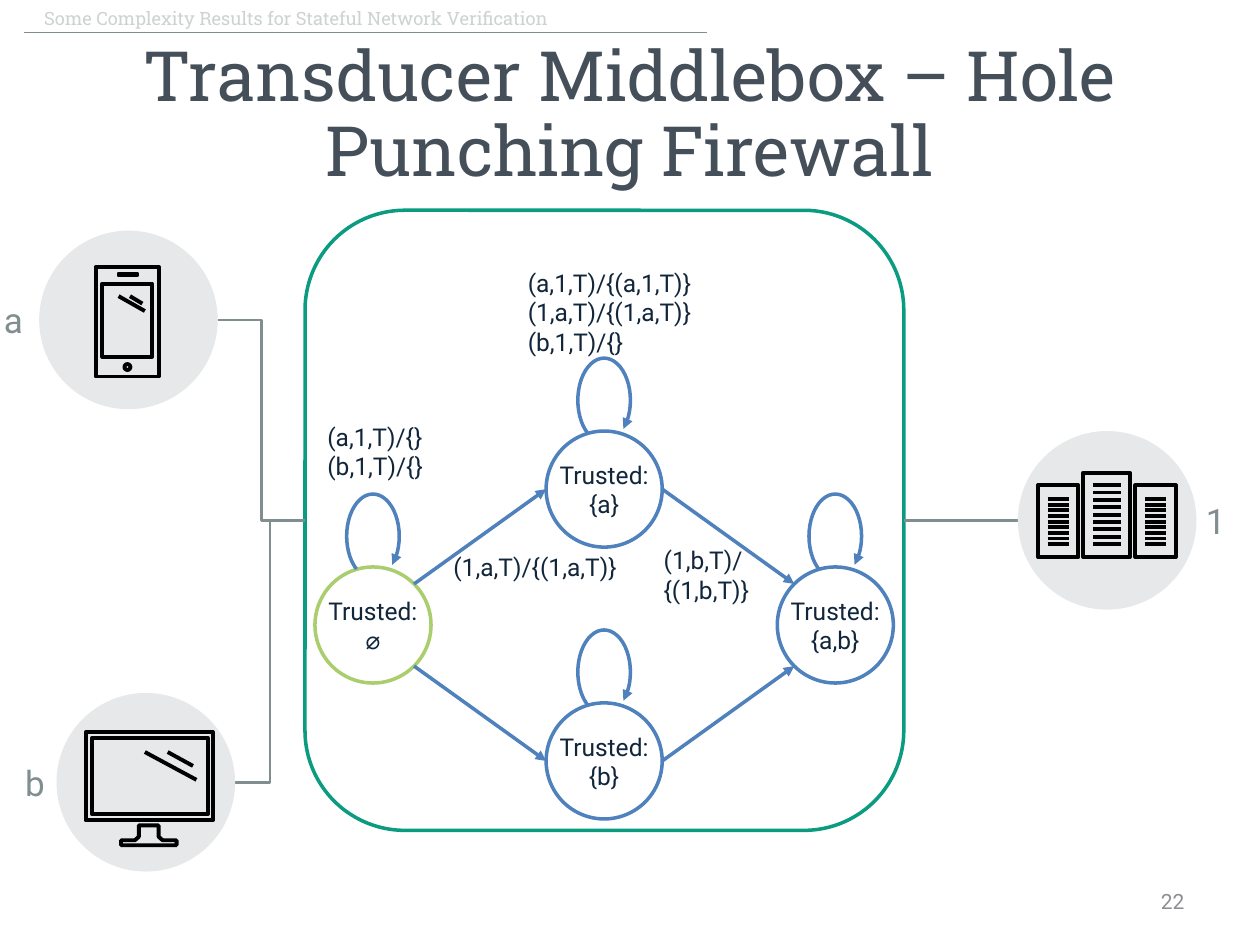
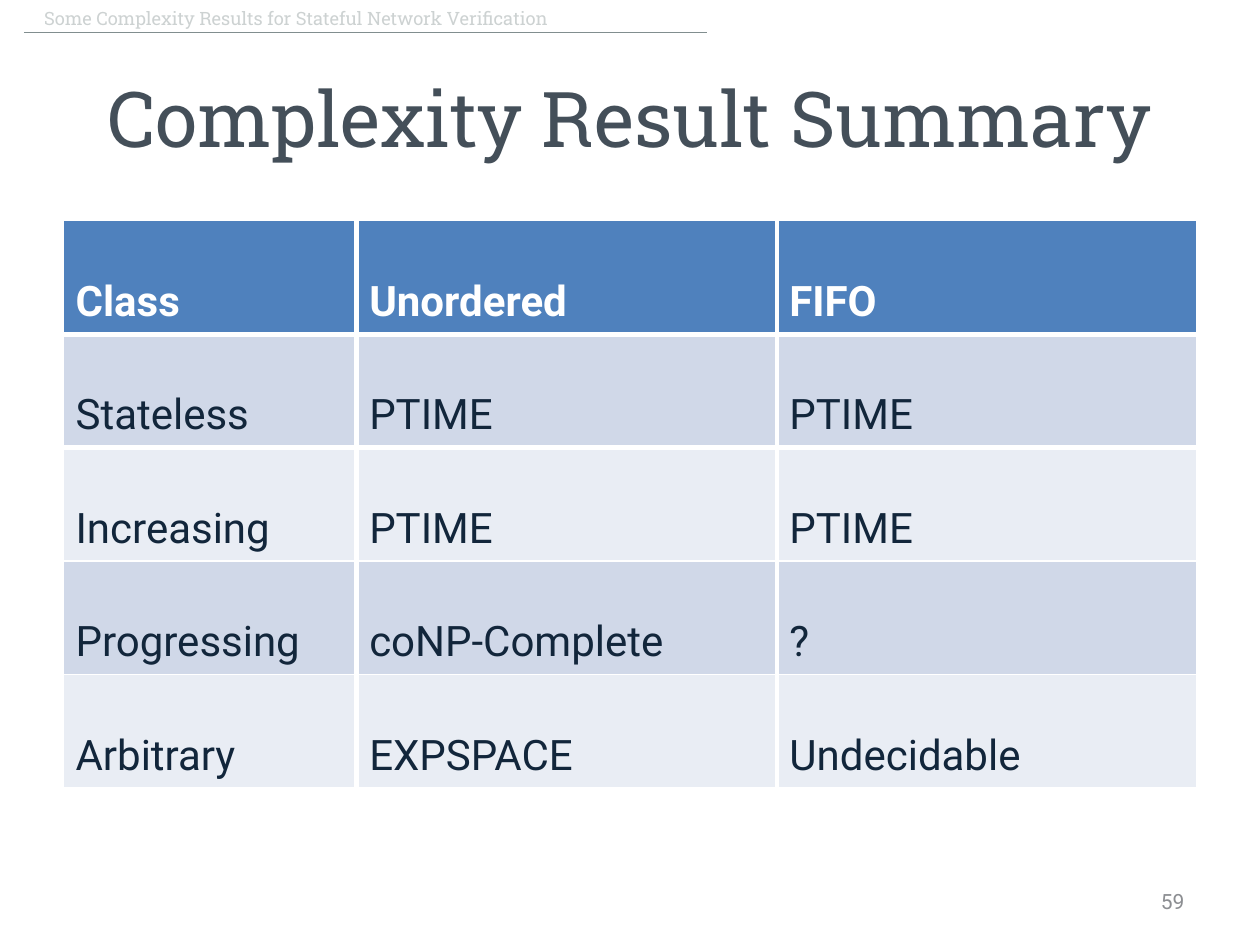
import math

import pptx
import pptx.dml.color
import pptx.enum.shapes
import pptx.enum.text
import pptx.oxml
import pptx.oxml.ns
import pptx.util

Cm, Pt = pptx.util.Cm, pptx.util.Pt
MSO_SHAPE = pptx.enum.shapes.MSO_SHAPE
STRAIGHT = pptx.enum.shapes.MSO_CONNECTOR.STRAIGHT
ELBOW = pptx.enum.shapes.MSO_CONNECTOR.ELBOW
MIDDLE = pptx.enum.text.MSO_ANCHOR.MIDDLE
ALIGN = pptx.enum.text.PP_ALIGN

# ---- Content (lengths in cm) ----
HEADER = "Some Complexity Results for Stateful Network Veriﬁcation"
AUTOMATON = {"title": "Transducer Middlebox – Hole Punching Firewall", "size": 39.6,
             "spacing": 0.9, "number": "22"}
SUMMARY = {"title": "Complexity Result Summary", "size": 44, "spacing": 1.0, "number": "59"}

# Host name: disc left, disc top, label left
HOSTS = {"a": (0.79, 4.65, 0), "b": (1.14, 13.97, 0.43), "1": (20.52, 8.69, 24.23)}
# State: set of trusted hosts, column and row from the diagram centre, outline
STATES = [("⌀", -1, 0, "green"), ("{a}", 0, -1, "blue"),
          ("{a,b}", 1, 0, "blue"), ("{b}", 0, 1, "blue")]
# Transition labels: left, top, width, lines
TRANSITIONS = [
    (10.39, 5.28, 4.01, ["(a,1,T)/{(a,1,T)}", "(1,a,T)/{(1,a,T)}", "(b,1,T)/{}"]),
    (6.35, 8.38, 2.54, ["(a,1,T)/{}", "(b,1,T)/{}"]),
    (8.89, 11, 4.24, ["(1,a,T)/{(1,a,T)}"]),
    (13.13, 10.87, 4.24, ["(1,b,T)/", "{(1,b,T)}"]),
]
RESULTS = [
    ["Class", "Unordered", "FIFO"],
    ["Stateless", "PTIME", "PTIME"],
    ["Increasing", "PTIME", "PTIME"],
    ["Progressing", "coNP-Complete", "?"],
    ["Arbitrary", "EXPSPACE", "Undecidable"],
]
COLUMN_WIDTHS = [5.92, 8.47, 8.47]

# ---- Shared look ----
COLORS = {"title": "444F59", "header": "CDD2D2", "grey": "818E8F", "number": "8C8E92",
          "text": "12263B", "white": "FFFFFF", "black": "000000", "disc": "E6E8E9",
          "teal": "0B9B80", "green": "AACD6E", "blue": "4F81BD",
          "band1": "D0D8E8", "band2": "E9EDF4"}
SANS, SLAB = "Roboto", "Roboto Slab"
DISC, STATE = 3.6, 2.34
CENTRE, STEP = (12.18, 12.6), (4.66, 2.74)
MARGINS = ("margin_left", "margin_top", "margin_right", "margin_bottom")


def rgb(name):
    return pptx.dml.color.RGBColor.from_string(COLORS[name])


def apply(obj, values):
    for key, value in values.items():
        setattr(obj, key, value)


def write(tf, lines, size, color, font=SANS, bold=False, align=ALIGN.LEFT, spacing=None, **frame):
    apply(tf, {"word_wrap": True, **frame})
    for i, line in enumerate(lines):
        p = tf.add_paragraph() if i else tf.paragraphs[0]
        apply(p, {"alignment": align, "line_spacing": spacing})
        r = p.add_run()
        r.text = line
        apply(r.font, {"name": font, "size": Pt(size), "bold": bold})
        r.font.color.rgb = rgb(color)


def add_text(s, box, lines, size, color, **style):
    sp = s.shapes.add_textbox(*map(Cm, box))
    write(sp.text_frame, lines, size, color, **style)


def paint(sp, fill=None, line=None, width=2.0):
    sp.shadow.inherit = False
    if fill:
        sp.fill.solid()
        sp.fill.fore_color.rgb = rgb(fill)
    else:
        sp.fill.background()
    if line:
        sp.line.color.rgb = rgb(line)
        sp.line.width = Pt(width)
    else:
        sp.line.fill.background()
    return sp


def add_preset(s, kind, box, **look):
    return paint(s.shapes.add_shape(kind, *map(Cm, box)), **look)


def add_arrowhead(sp):
    sp.line._get_or_add_ln().append(pptx.oxml.parse_xml(
        f'<a:tailEnd {pptx.oxml.ns.nsdecls("a")} type="triangle"/>'))


def add_line(s, start, end, color, width, kind=STRAIGHT):
    sp = s.shapes.add_connector(kind, *map(Cm, (*start, *end)))
    sp.line.color.rgb = rgb(color)
    sp.line.width = Pt(width)
    sp._element.spPr.append(pptx.oxml.parse_xml(
        f'<a:effectLst {pptx.oxml.ns.nsdecls("a")}/>'))
    return sp


def add_outline(s, *contours):
    """One unfilled black freeform made of closed contours."""
    contours = [[(Cm(x), Cm(y)) for x, y in points] for points in contours]
    builder = s.shapes.build_freeform(*contours[0][0])
    for points in contours:
        builder.move_to(*points[0])
        builder.add_line_segments(points[1:], close=True)
    paint(builder.convert_to_shape(), line="black", width=2.25)


def box_points(left, top, right, bottom):
    return [(left, top), (right, top), (right, bottom), (left, bottom)]


def start_slide(prs, info):
    s = prs.slides.add_slide(prs.slide_layouts[5])
    add_text(s, (0.64, 0.15, 12.4, 0.43), [HEADER], 10.5, "header", font=SLAB,
             vertical_anchor=MIDDLE)
    add_line(s, (0.48, 0.66), (14.25, 0.66), "grey", 0.75)
    title = s.shapes.title
    apply(title, dict(left=Cm(1.27), top=Cm(0.76), width=Cm(22.86), height=Cm(3.18)))
    write(title.text_frame, [info["title"]], info["size"], "title", font=SLAB,
          align=ALIGN.CENTER, spacing=info["spacing"], vertical_anchor=MIDDLE)
    add_text(s, (18.21, 17.65, 5.92, 1.02), [info["number"]], 12, "number",
             align=ALIGN.RIGHT, vertical_anchor=MIDDLE)
    return s


# ---- Device icons ----
def draw_phone(s):
    button = [(2.57 + 0.06 * math.cos(math.pi * k / 6), 7.4 + 0.06 * math.sin(math.pi * k / 6))
              for k in range(12)]
    add_outline(s, box_points(1.93, 5.38, 3.2, 7.59), box_points(2.06, 5.72, 3.07, 7.19),
                box_points(2.39, 5.52, 2.77, 5.55), button)
    for start, end in [((2.62, 5.97), (2.87, 6.12)), ((2.39, 5.97), (2.92, 6.27))]:
        add_line(s, start, end, "black", 2.25)


def draw_monitor(s):
    add_outline(s, box_points(1.73, 14.76, 4.29, 16.54), box_points(1.85, 14.88, 4.19, 16.41))
    half = [(0.2, 16.64), (0.2, 16.87), (0.28, 16.94), (0.56, 16.94), (0.56, 17.04)]
    add_outline(s, [(3 + x, y) for x, y in half] + [(3 - x, y) for x, y in reversed(half)])
    for start, end in [((3.38, 15.16), (3.89, 15.44)), ((2.92, 15.16), (3.96, 15.72))]:
        add_line(s, start, end, "black", 2.25)


def draw_servers(s):
    # left, top, width, first slot
    for left, top, width, first in [(20.93, 9.78, 0.81, 10.06), (22.89, 9.78, 0.81, 10.06),
                                    (21.84, 9.53, 0.94, 9.78)]:
        add_outline(s, box_points(left, top, left + width, 11.23))
        for k in range(9):
            y = first + k * (10.97 - first) / 8
            add_line(s, (left + 0.19, y), (left + width - 0.19, y), "black", 2.25)


# ---- Slides ----
def build_automaton(prs):
    s = start_slide(prs, AUTOMATON)
    firewall = add_preset(s, MSO_SHAPE.ROUNDED_RECTANGLE, (6.15, 4.24, 12.07, 12.5), line="teal")

    # Hosts and their links to the firewall
    for name, icon in zip(HOSTS, (draw_phone, draw_monitor, draw_servers)):
        left, top, label_left = HOSTS[name]
        middle = top + DISC / 2
        if left < CENTRE[0]:
            link = add_line(s, (left + DISC, middle), (6.15, 10.49), "grey", 1.5, ELBOW)
            link.end_connect(firewall, 1)
        else:
            link = add_line(s, (18.22, 10.49), (left, middle), "grey", 1.5)
            link.begin_connect(firewall, 3)
        add_preset(s, MSO_SHAPE.OVAL, (left, top, DISC, DISC), fill="disc")
        icon(s)
        add_text(s, (label_left, middle - 0.51, 0.56, 1.02), [name], 20, "grey",
                 word_wrap=False, vertical_anchor=MIDDLE, **dict.fromkeys(MARGINS, Cm(0.08)))

    # States with their self-loops
    for trusted, col, row, color in STATES:
        x, y = CENTRE[0] + col * STEP[0], CENTRE[1] + row * STEP[1]
        top = y - STATE / 2
        sp = add_preset(s, MSO_SHAPE.OVAL, (x - STATE / 2, top, STATE, STATE),
                        fill="white", line=color)
        write(sp.text_frame, ["Trusted:", trusted], 14, "text", align=ALIGN.CENTER,
              word_wrap=False, vertical_anchor=MIDDLE, **dict.fromkeys(MARGINS, 0))
        loop = add_preset(s, MSO_SHAPE.ARC, (x - 0.53, top - 1.47, 1.06, 1.7),
                          fill="white", line="blue")
        loop.adjustments[0], loop.adjustments[1] = 69.98, 33.6
        add_arrowhead(loop)

    # Transitions: outer states are met on the diagonal, inner ones at the side
    reach = STATE / 2 * math.sqrt(0.5)
    for row in (1, -1):
        for side in (-1, 1):
            outer = (CENTRE[0] + side * (STEP[0] - reach), CENTRE[1] + row * reach)
            inner = (CENTRE[0] + side * STATE / 2, CENTRE[1] + row * STEP[1])
            ends = (outer, inner) if side < 0 else (inner, outer)
            add_arrowhead(add_line(s, *ends, "blue", 2))
    for left, top, width, lines in TRANSITIONS:
        add_text(s, (left, top, width, 0.26 + 0.6 * len(lines)), lines, 14, "text")


def set_borders(cell, widths):
    for side, width in widths.items():
        cell._tc.get_or_add_tcPr().append(pptx.oxml.parse_xml(
            f'<a:ln{side} {pptx.oxml.ns.nsdecls("a")} w="{Pt(width)}"><a:solidFill>'
            f'<a:srgbClr val="{COLORS["white"]}"/></a:solidFill></a:ln{side}>'))


def build_summary(prs):
    s = start_slide(prs, SUMMARY)
    height = 2.24
    table = s.shapes.add_table(len(RESULTS), len(COLUMN_WIDTHS), Cm(1.27), Cm(4.45),
                               Cm(sum(COLUMN_WIDTHS)), Cm(height * len(RESULTS))).table
    for column, width in zip(table.columns, COLUMN_WIDTHS):
        column.width = Cm(width)
    for i, values in enumerate(RESULTS):
        table.rows[i].height = Cm(height)
        fill = ("band2", "band1")[i % 2] if i else "blue"
        for j, value in enumerate(values):
            cell = table.cell(i, j)
            set_borders(cell, {"L": 3 if j else 1, "R": 3 if j < 2 else 1,
                               "T": 3 if i in (1, 2) else 1, "B": 3 if i < 2 else 1})
            cell.fill.solid()
            cell.fill.fore_color.rgb = rgb(fill)
            cell.vertical_anchor = MIDDLE
            write(cell.text_frame, [value], 24, "text" if i else "white",
                  bold=i == 0, spacing=2.0)


def main():
    prs = pptx.Presentation()
    apply(prs, {"slide_width": Cm(25.4), "slide_height": Cm(19.05)})
    build_automaton(prs)
    build_summary(prs)
    prs.save("out.pptx")


if __name__ == "__main__":
    main()
